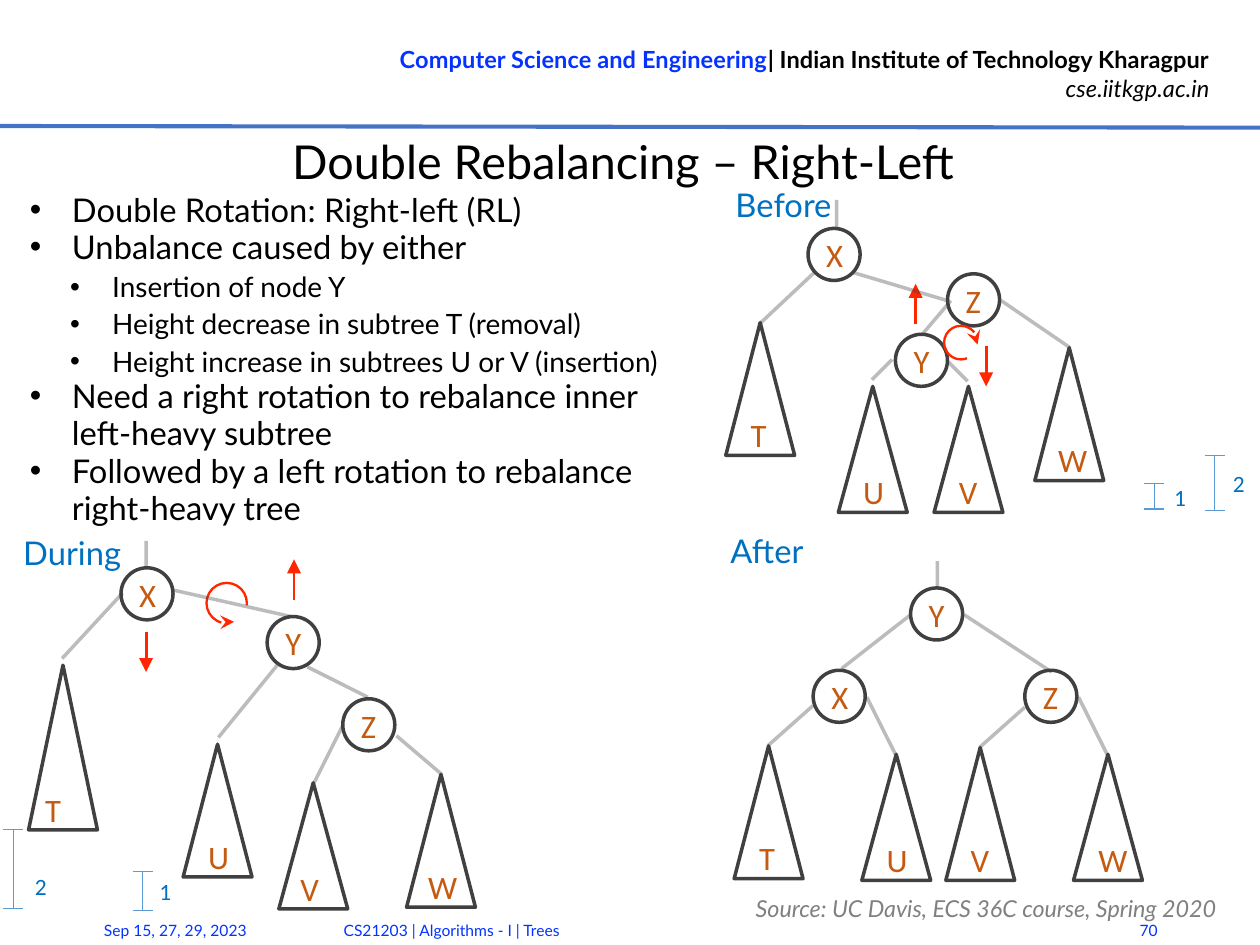
from pptx import Presentation
from pptx.dml.color import RGBColor
from pptx.enum.shapes import MSO_CONNECTOR as Conn, MSO_SHAPE as Shape
from pptx.enum.text import MSO_ANCHOR as Anchor, PP_ALIGN as Align
from pptx.oxml.xmlchemy import OxmlElement as Elem
from pptx.util import Inches, Pt

BLUE, SKY, RUST, DARK, RED = "0432FF", "0070C0", "C55A11", "404040", "FF2600"
SIDE = 0.31   # node diameter
BASE = 0.41   # subtree width


def rgb(code):
    return RGBColor.from_string(code)


def add(parent, tag, **attrs):
    item = Elem(tag)
    for key, val in attrs.items():
        item.set(key, val)
    parent.append(item)
    return item


def style(para, size, color, font="Lato", align=None, lead=None):
    para.font.name, para.font.size = font, Pt(size)
    para.font.color.rgb = rgb(color)
    if align is not None:
        para.alignment = align
    if lead:
        para.line_spacing = Pt(lead)


def frame(slide, box, wrap=True, anchor=Anchor.TOP):
    text = slide.shapes.add_textbox(*map(Inches, box)).text_frame
    text.word_wrap, text.vertical_anchor = wrap, anchor
    return text


def label(slide, box, words, size, color, wrap=True, anchor=Anchor.TOP, **look):
    """Add a text box of one paragraph and return the paragraph."""
    para = frame(slide, box, wrap, anchor).paragraphs[0]
    para.text = words
    style(para, size, color, **look)
    return para


def line(slide, ends, color, width, alpha=None):
    link = slide.shapes.add_connector(Conn.STRAIGHT, *map(Inches, ends))
    link.line.color.rgb, link.line.width = rgb(color), Pt(width)
    add(link._element.spPr, "a:effectLst")
    if alpha:
        tint = link.line._ln.find(".//{*}srgbClr")
        add(tint, "a:alpha", val=str(alpha * 1000))
    return link


def outline(slide, kind, box, color, width):
    shape = slide.shapes.add_shape(kind, *map(Inches, box))
    shape.shadow.inherit = False
    shape.fill.background()
    shape.line.color.rgb, shape.line.width = rgb(color), Pt(width)
    return shape


def letter(slide, x, y, name):
    label(slide, (x, y, 0.3, 0.34), name, 14, RUST, wrap=False, font="Calibri")


def node(slide, x, y, name):
    outline(slide, Shape.OVAL, (x, y, SIDE, SIDE), DARK, 1.5)
    letter(slide, x + 0.01, y - 0.01, name)


def subtree(slide, x, y, name, high, shift=0.05):
    outline(slide, Shape.ISOSCELES_TRIANGLE, (x, y, BASE, high), DARK, 1.5)
    letter(slide, x + shift, y + high - 0.29, name)


def arrow(slide, x, y, reach):
    shaft = line(slide, (x, y, x, y + reach), RED, 1.25)
    add(shaft.line._ln, "a:tailEnd", type="triangle")


def turn(slide, x, y, size, end):
    """Add a rotation arc with an arrowhead at its head or tail end."""
    arc = outline(slide, Shape.ARC, (x, y, size, size), RED, 1)
    arc.adjustments[0], arc.adjustments[1] = 41.22, 3.88
    add(arc.line._ln, "a:" + end, type="stealth")


def gauge(slide, x, top, high, words, shift=0.01, drop=0.0):
    """Add a height bracket with its number beside it."""
    low = top + high
    line(slide, (x, top, x, low), "5B9BD5", 0.5)
    for y in (top, low):
        line(slide, (x - 0.06, y, x + 0.06, y), "5B9BD5", 0.5)
    label(slide, (x + shift, top + high / 2 - 0.13 + drop, 0.27, 0.27),
          words, 10, SKY, wrap=False, font="Calibri")


def panel(slide, left, top, title, nodes, subs, edges, arrows=(), arc=None, gauges=()):
    """Draw one stage of the rotation, all parts relative to left and top."""
    label(slide, (left + 0.03, top, 0.9, 0.36), title, 14, SKY, lead=17)
    for draw, items in ((node, nodes), (subtree, subs), (arrow, arrows),
                        (gauge, gauges), (turn, [arc] if arc else [])):
        for x, y, *rest in items:
            draw(slide, left + x, top + y, *rest)
    for x1, y1, x2, y2 in edges:
        ends = (left + x1, top + y1, left + x2, top + y2)
        line(slide, ends, DARK, 1.5, alpha=35)


def header(slide, left, top, width):
    text = frame(slide, (left, top, width, 0.44))
    first, second = text.paragraphs[0], text.add_paragraph()
    for words, color in (("Computer Science and Engineering", BLUE),
                         ("| Indian Institute of Technology Kharagpur", "000000")):
        run = first.add_run()
        run.text, run.font.color.rgb = words, rgb(color)
    second.text = "cse.iitkgp.ac.in"
    for para in (first, second):
        style(para, 10.13, "000000", align=Align.RIGHT)
    first.font.bold = second.font.italic = True
    line(slide, (0, 0.75, 7.5, 0.76), "4472C4", 1.75)
    label(slide, (0.24, 0.79, 6.94, 0.34), "Double Rebalancing – Right-Left",
          20, "000000", anchor=Anchor.MIDDLE, align=Align.CENTER)


def bullets(slide, box, items):
    text = frame(slide, box)
    for num, (level, words) in enumerate(items):
        para = text.add_paragraph() if num else text.paragraphs[0]
        para.text, para.level = words, level
        props = para._p.get_or_add_pPr()
        props.set("marL", str(Inches((0.25, 0.49)[level])))
        props.set("indent", str(Inches(-0.25)))
        add(props, "a:buFont", typeface="Arial")
        add(props, "a:buChar", char="•")
        style(para, (14, 12)[level], "000000", lead=16)


def footer(slide, top):
    for x, width, words, align in (
            (0.52, 1.31, "Sep 15, 27, 29, 2023", Align.LEFT),
            (1.22, 2.94, "CS21203 | Algorithms - I | Trees", Align.CENTER),
            (6.62, 0.37, "70", Align.RIGHT)):
        label(slide, (x, top, width, 0.24), words, 6.75, BLUE,
              anchor=Anchor.MIDDLE, align=align)
    source = label(slide, (4.4, top - 0.14, 3.02, 0.17),
                   "Source: UC Davis, ECS 36C course, Spring 2020",
                   10, "808080", anchor=Anchor.MIDDLE, lead=18)
    source.font.italic = True


def main():
    deck = Presentation()
    deck.slide_width = Inches(7.5)
    deck.slide_height = deck.slide_width * 3 // 4
    slide = deck.slides.add_slide(deck.slide_layouts[6])
    header(slide, 1.91, 0.22, 5.39)
    bullets(slide, (0.08, 1.09, 4.17, 1.72), [
        (0, "Double Rotation: Right-left (RL)"),
        (0, "Unbalance caused by either"),
        (1, "Insertion of node Y"),
        (1, "Height decrease in subtree T (removal)"),
        (1, "Height increase in subtrees U or V (insertion)"),
        (0, "Need a right rotation to rebalance inner left-heavy subtree"),
        (0, "Followed by a left rotation to rebalance right-heavy tree")])
    panel(slide, 4.25, 1.05, "Before",
          nodes=[(0.56, 0.31, "X"), (1.08, 0.94, "Y"), (1.39, 0.58, "Z")],
          subs=[(0.07, 0.87, "T", 0.79), (0.74, 1.25, "U", 0.75),
                (1.31, 1.25, "V", 0.75), (1.91, 1.02, "W", 0.79, 0.04)],
          edges=[(0.73, 0.14, 0.73, 0.3), (0.6, 0.57, 0.28, 0.87),
                 (0.82, 0.57, 1.39, 0.74), (1.41, 0.74, 1.24, 0.94),
                 (1.71, 0.74, 2.12, 1.02), (1.06, 1.09, 0.94, 1.21),
                 (1.39, 1.1, 1.51, 1.22)],
          arrows=[(1.2, 0.88, -0.24), (1.62, 1.01, 0.24)],
          arc=(1.37, 0.89, 0.2, "tailEnd"),
          gauges=[(2.98, 1.66, 0.33, "2"), (2.62, 1.83, 0.15, "1", 0.02)])
    panel(slide, 0.01, 3.12, "During",
          nodes=[(0.71, 0.26, "X"), (1.58, 0.55, "Y"), (2.03, 1.04, "Z")],
          subs=[(0.16, 0.84, "T", 0.98, 0), (1.08, 1.31, "U", 0.79),
                (1.65, 1.54, "V", 0.75, 0.03), (2.41, 1.49, "W", 0.79, 0.03)],
          edges=[(0.86, 0.1, 0.86, 0.26), (0.72, 0.41, 0.36, 0.8),
                 (1.01, 0.39, 1.72, 0.55), (1.64, 0.84, 1.29, 1.27),
                 (1.82, 0.85, 2.18, 1.03), (2.03, 1.2, 1.86, 1.54),
                 (2.35, 1.26, 2.62, 1.49)],
          arrows=[(1.74, 0.45, -0.24), (0.86, 0.64, 0.24)],
          arc=(1.22, 0.35, 0.24, "headEnd"),
          gauges=[(0.07, 1.82, 0.47, "2", 0.03, 0.1), (0.84, 2.07, 0.23, "1", 0)])
    panel(slide, 4.22, 3.11, "After",
          nodes=[(0.62, 0.88, "X"), (1.2, 0.39, "Y"), (1.88, 0.88, "Z")],
          subs=[(0.15, 1.33, "T", 0.79), (0.91, 1.38, "U", 0.75),
                (1.41, 1.34, "V", 0.79), (2.17, 1.38, "W", 0.75)],
          edges=[(1.36, 0.23, 1.36, 0.39), (1.2, 0.55, 0.79, 0.87),
                 (1.52, 0.55, 2.04, 0.89), (0.62, 1.09, 0.35, 1.33),
                 (0.94, 1.04, 1.11, 1.38), (1.88, 1.1, 1.61, 1.34),
                 (2.2, 1.04, 2.37, 1.38)])
    footer(slide, 5.42)
    deck.save("out.pptx")


if __name__ == "__main__":
    main()
